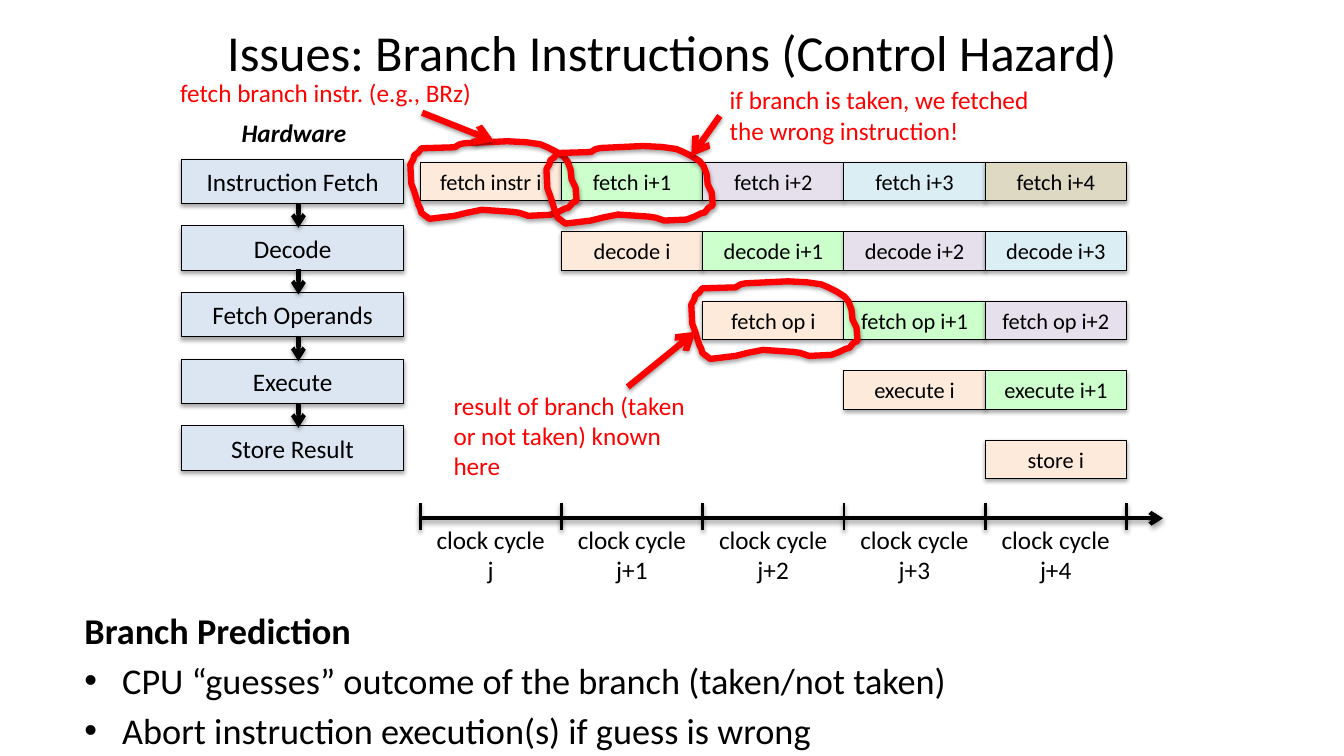
from lxml import etree
from pptx import Presentation
from pptx.dml.color import RGBColor
from pptx.enum.shapes import MSO_CONNECTOR, MSO_SHAPE
from pptx.enum.text import MSO_ANCHOR, PP_ALIGN
from pptx.oxml.ns import qn
from pptx.util import Cm, Pt

RECT = MSO_SHAPE.RECTANGLE
LINE = MSO_CONNECTOR.STRAIGHT
LEFT, CENTER = PP_ALIGN.LEFT, PP_ALIGN.CENTER
TOP, MIDDLE = MSO_ANCHOR.TOP, MSO_ANCHOR.MIDDLE
BLACK, RED, STAGE = "000000", "FF0000", "DCE6F2"

STAGES = ["Instruction Fetch", "Decode", "Fetch Operands", "Execute", "Store Result"]
STEPS = ["fetch", "decode", "fetch op", "execute", "store"]
TINTS = ["FDEADA", "CCFFCC", "E6E0EC", "DBEEF4", "DDD9C3"]
COUNT = len(STEPS)
GRID_X, GRID_Y, CELL_W, CELL_H, ROW = 10.59, 4.09, 3.56, 0.97, 1.75
STAGE_X, STAGE_Y, STAGE_W, STAGE_H, STAGE_GAP = 4.57, 4.01, 5.61, 1.12, 1.68
AXIS_Y = 13.06

LOOP = [
    (160, 38), (159, 28), (156, 20), (152, 15), (144, 10), (136, 6), (129, 3),
    (115, 1), (96, 0), (54, 2), (49, 3), (44, 6), (11, 7), (8, 11), (4, 14),
    (3, 18), (0, 23), (1, 42), (4, 50), (8, 63), (10, 67), (11, 71), (19, 77),
    (44, 74), (56, 71), (71, 68), (101, 70), (108, 71), (117, 74), (139, 73),
    (147, 70), (153, 67), (157, 66), (161, 61), (165, 59), (164, 46),
]
LOOP_UNIT = Cm(0.0254)


def color(code):
    return RGBColor.from_string(code)


def shade(shape, alpha=35, dist=1.8):
    effect = etree.SubElement(shape.element.spPr, qn("a:effectLst"))
    outer = etree.SubElement(
        effect, qn("a:outerShdw"), blurRad=str(Pt(3.1)), dist=str(Pt(dist)),
        dir="5400000", rotWithShape="0")
    tone = etree.SubElement(outer, qn("a:srgbClr"), val=BLACK)
    etree.SubElement(tone, qn("a:alpha"), val=str(alpha * 1000))


def stroke(shape, tint, width):
    shape.line.color.rgb = color(tint)
    shape.line.width = Pt(width)


def style(para, text, size, tint=BLACK, align=LEFT, bold=False, italic=False):
    para.text = text
    para.alignment = align
    font = para.font
    font.name, font.size = "Calibri", Pt(size)
    font.bold, font.italic = bold, italic
    font.color.rgb = color(tint)


def add_text(slide, x, y, w, h, text, size=18, anchor=TOP, wrap=True, **looks):
    box = slide.shapes.add_textbox(Cm(x), Cm(y), Cm(w), Cm(h))
    frame = box.text_frame
    frame.word_wrap = wrap
    frame.vertical_anchor = anchor
    style(frame.paragraphs[0], text, size, **looks)
    return frame


def add_box(slide, x, y, w, h, text, size, tint):
    box = slide.shapes.add_shape(RECT, Cm(x), Cm(y), Cm(w), Cm(h))
    box.fill.solid()
    box.fill.fore_color.rgb = color(tint)
    stroke(box, BLACK, 0.75)
    shade(box)
    box.text_frame.word_wrap = True
    box.text_frame.vertical_anchor = MIDDLE
    style(box.text_frame.paragraphs[0], text, size, align=CENTER)


def add_line(slide, x1, y1, x2, y2, width, tint=BLACK, arrow=True):
    line = slide.shapes.add_connector(LINE, Cm(x1), Cm(y1), Cm(x2), Cm(y2))
    stroke(line, tint, width)
    if arrow:
        ln = line.element.spPr.find(qn("a:ln"))
        etree.SubElement(ln, qn("a:tailEnd"), type="arrow")
    shade(line, 38, 1.6)


def add_loop(slide, x, y):
    pen = slide.shapes.build_freeform(*LOOP[0], scale=LOOP_UNIT)
    pen.add_line_segments(LOOP[1:], close=True)
    loop = pen.convert_to_shape(Cm(x), Cm(y))
    loop.fill.background()
    stroke(loop, RED, 4.5)
    shade(loop)


def add_bullet(frame, text, size):
    para = frame.add_paragraph()
    style(para, text, size)
    props = para._p.get_or_add_pPr()
    props.set("marL", str(Cm(0.95)))
    props.set("indent", str(-Cm(0.95)))
    para.space_before = Pt(4.4)
    etree.SubElement(props, qn("a:buFont"), typeface="Arial")
    etree.SubElement(props, qn("a:buChar"), char="•")
    fonts = props.find(qn("a:defRPr"))
    if fonts is not None:
        props.append(fonts)


def add_stages(slide):
    for i, name in enumerate(STAGES):
        y = STAGE_Y + i * STAGE_GAP
        add_box(slide, STAGE_X, y, STAGE_W, STAGE_H, name, 18, STAGE)
    add_text(slide, 5.84, 2.84, 3.18, 1.02, "Hardware", wrap=False,
             bold=True, italic=True)
    for i in range(COUNT - 1):
        y = STAGE_Y + STAGE_H + i * STAGE_GAP
        add_line(slide, 7.52, y - 0.02, 7.52, y + 0.61, 3)


def add_cells(slide):
    for i, tint in enumerate(TINTS):
        for row, step in enumerate(STEPS[:COUNT - i]):
            name = f"{step} i+{i}" if i else f"{step} i"
            if i == row == 0:
                name = "fetch instr i"
            add_box(slide, GRID_X + (i + row) * CELL_W, GRID_Y + row * ROW,
                    CELL_W, CELL_H, name, 16, tint)


def add_axis(slide):
    add_line(slide, GRID_X, AXIS_Y, 29.31, AXIS_Y, 3)
    for i in range(COUNT + 1):
        x = GRID_X + i * CELL_W
        add_line(slide, x, 12.67, x, 13.36, 2, arrow=False)
    for i in range(COUNT):
        name = f"clock cycle j+{i}" if i else "clock cycle j"
        add_text(slide, GRID_X + i * CELL_W + 0.06, 13.08, 3.43, 1.8, name,
                 align=CENTER)


def add_notes(slide):
    add_loop(slide, 10.34, 3.56)
    add_text(slide, 4.29, 1.83, 8.23, 1.02, "fetch branch instr. (e.g., BRz)",
             tint=RED)
    add_line(slide, 10.64, 2.84, 12.45, 3.56, 4.5, RED)
    add_loop(slide, 17.42, 7.09)
    add_text(slide, 11.18, 9.7, 6.35, 2.57,
             "result of branch (taken or not taken) known here", tint=RED)
    add_line(slide, 15.82, 9.75, 17.53, 8.36, 4.5, RED)
    add_loop(slide, 13.77, 3.68)
    add_text(slide, 18.14, 2.01, 8.2, 1.8,
             "if branch is taken, we fetched the wrong instruction!", tint=RED)
    add_line(slide, 18.14, 2.92, 17.42, 3.94, 4.5, RED)


def main():
    deck = Presentation()
    deck.slide_width, deck.slide_height = Cm(33.87), Cm(19.05)
    slide = deck.slides.add_slide(deck.slide_layouts[6])
    add_text(slide, 4.57, 0.1, 24.74, 2.41,
             "Issues: Branch Instructions (Control Hazard)", 36,
             anchor=MIDDLE, align=CENTER)
    body = add_text(slide, 1.88, 15.21, 30.48, 3.76, "Branch Prediction", 25.9,
                    bold=True)
    body.paragraphs[0].space_before = Pt(4.4)
    add_bullet(body, "CPU “guesses” outcome of the branch (taken/not taken)", 25.9)
    add_bullet(body, "Abort instruction execution(s) if guess is wrong", 25.9)
    add_stages(slide)
    add_cells(slide)
    add_axis(slide)
    add_notes(slide)
    deck.save("out.pptx")


main()
